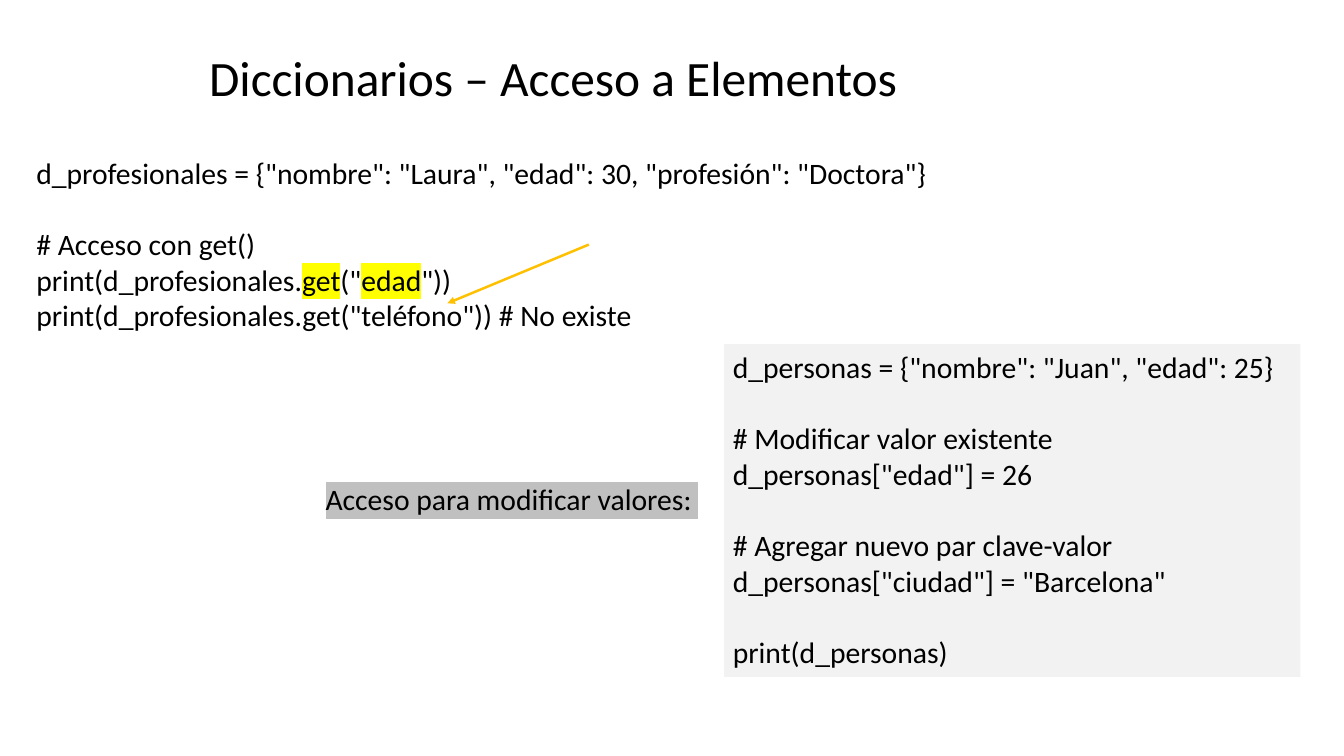
from lxml.etree import SubElement
from pptx import Presentation
from pptx.dml.color import RGBColor
from pptx.enum.shapes import MSO_CONNECTOR as Connector, MSO_SHAPE as Shape
from pptx.enum.text import MSO_ANCHOR as Anchor, MSO_AUTO_SIZE as AutoSize, PP_ALIGN as Align
from pptx.oxml.ns import qn
from pptx.util import Pt

PX = 9144
SLIDE_WIDTH, SLIDE_HEIGHT = 1511, 850
FONT = "Calibri"
CODE_SIZE = 24
LINE_HEIGHT = 29
BLACK = RGBColor(0x00, 0x00, 0x00)
YELLOW = RGBColor(0xFF, 0xFF, 0x00)
SILVER = RGBColor(0xC0, 0xC0, 0xC0)
PALE_GREY = RGBColor(0xF2, 0xF2, 0xF2)
AMBER = RGBColor(0xFF, 0xC0, 0x00)

ACCESS_CODE = [
    ['d_profesionales = {"nombre": "Laura", "edad": 30, "profesión": "Doctora"}'],
    [
        "# Acceso con get()",
        'print(d_profesionales.|get|("|edad|"))',
        'print(d_profesionales.get("teléfono")) # No existe',
    ],
]
MODIFY_CODE = [
    ['d_personas = {"nombre": "Juan", "edad": 25}'],
    ["# Modificar valor existente", 'd_personas["edad"] = 26'],
    ["# Agregar nuevo par clave-valor", 'd_personas["ciudad"] = "Barcelona"'],
    ["print(d_personas)"],
]


def scaled(*lengths):
    return [length * PX for length in lengths]


def format_run(run, size):
    run.font.size = Pt(size)
    run.font.color.rgb = BLACK
    run.font.name = FONT


def highlight(run, color):
    properties = run.font._element
    mark = SubElement(properties, qn("a:highlight"))
    SubElement(mark, qn("a:srgbClr"), val=str(color))
    properties.find(qn("a:latin")).addprevious(mark)


def fit_tightly(text_frame, wrap):
    text_frame.margin_left = text_frame.margin_right = 0
    text_frame.margin_top = text_frame.margin_bottom = 0
    text_frame.vertical_anchor = Anchor.TOP
    text_frame.word_wrap = wrap
    text_frame.auto_size = AutoSize.SHAPE_TO_FIT_TEXT


def place_title(slide, box, text):
    title = slide.shapes.title
    title.left, title.top, title.width, title.height = scaled(*box)
    fit_tightly(title.text_frame, True)
    title.text_frame.text = text
    paragraph = title.text_frame.paragraphs[0]
    paragraph.alignment = Align.CENTER
    format_run(paragraph.runs[0], 40)


def write_code(text_frame, blocks):
    text_frame.word_wrap = True
    text_frame.auto_size = AutoSize.SHAPE_TO_FIT_TEXT
    for block_index, block in enumerate(blocks):
        for line_index, line in enumerate(block):
            first = block_index == line_index == 0
            paragraph = text_frame.paragraphs[0] if first else text_frame.add_paragraph()
            paragraph.alignment = Align.LEFT
            if line_index == 0 and not first:
                paragraph.space_before = Pt(LINE_HEIGHT)
            for part_index, part in enumerate(line.split("|")):
                run = paragraph.add_run()
                run.text = part
                format_run(run, CODE_SIZE)
                if part_index % 2:
                    highlight(run, YELLOW)


def add_access_code(slide, box):
    left, top, width, height = box
    code = slide.shapes.add_textbox(*scaled(*box))
    write_code(code.text_frame, ACCESS_CODE)
    arrow = slide.shapes.add_connector(
        Connector.STRAIGHT, *scaled(left + 631, top + 106, left + 472, top + 172)
    )
    arrow.line.color.rgb = AMBER
    arrow.line.width = Pt(2)
    SubElement(arrow.line._get_or_add_ln(), qn("a:tailEnd"), type="triangle")
    SubElement(arrow._element.spPr, qn("a:effectLst"))


def add_modify_label(slide, box):
    label = slide.shapes.add_textbox(*scaled(*box))
    fit_tightly(label.text_frame, False)
    label.text_frame.text = "Acceso para modificar valores: "
    run = label.text_frame.paragraphs[0].runs[0]
    format_run(run, CODE_SIZE)
    highlight(run, SILVER)


def add_modify_code(slide, box):
    panel = slide.shapes.add_shape(Shape.RECTANGLE, *scaled(*box))
    panel.shadow.inherit = False
    panel.fill.solid()
    panel.fill.fore_color.rgb = PALE_GREY
    panel.line.fill.background()
    panel.text_frame.vertical_anchor = Anchor.TOP
    write_code(panel.text_frame, MODIFY_CODE)


def main():
    presentation = Presentation()
    presentation.slide_width, presentation.slide_height = scaled(SLIDE_WIDTH, SLIDE_HEIGHT)
    slide = presentation.slides.add_slide(presentation.slide_layouts.get_by_name("Title Only"))
    place_title(slide, (185, 53, 874, 67), "Diccionarios – Acceso a Elementos")
    add_access_code(slide, (31, 169, 1158, 212))
    add_modify_label(slide, (366, 541, 432, 40))
    add_modify_code(slide, (814, 387, 648, 374))
    presentation.save("out.pptx")


if __name__ == "__main__":
    main()
